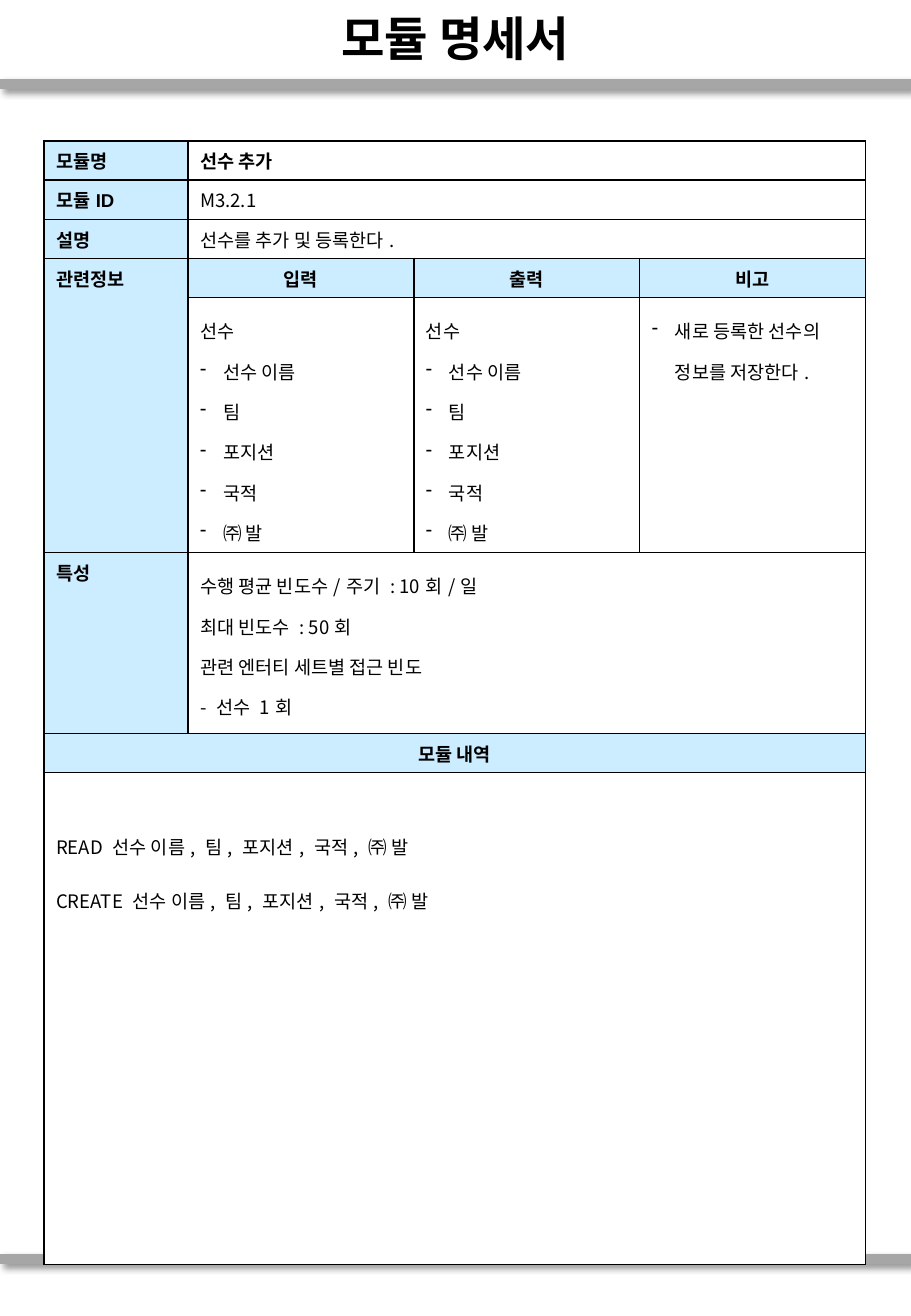
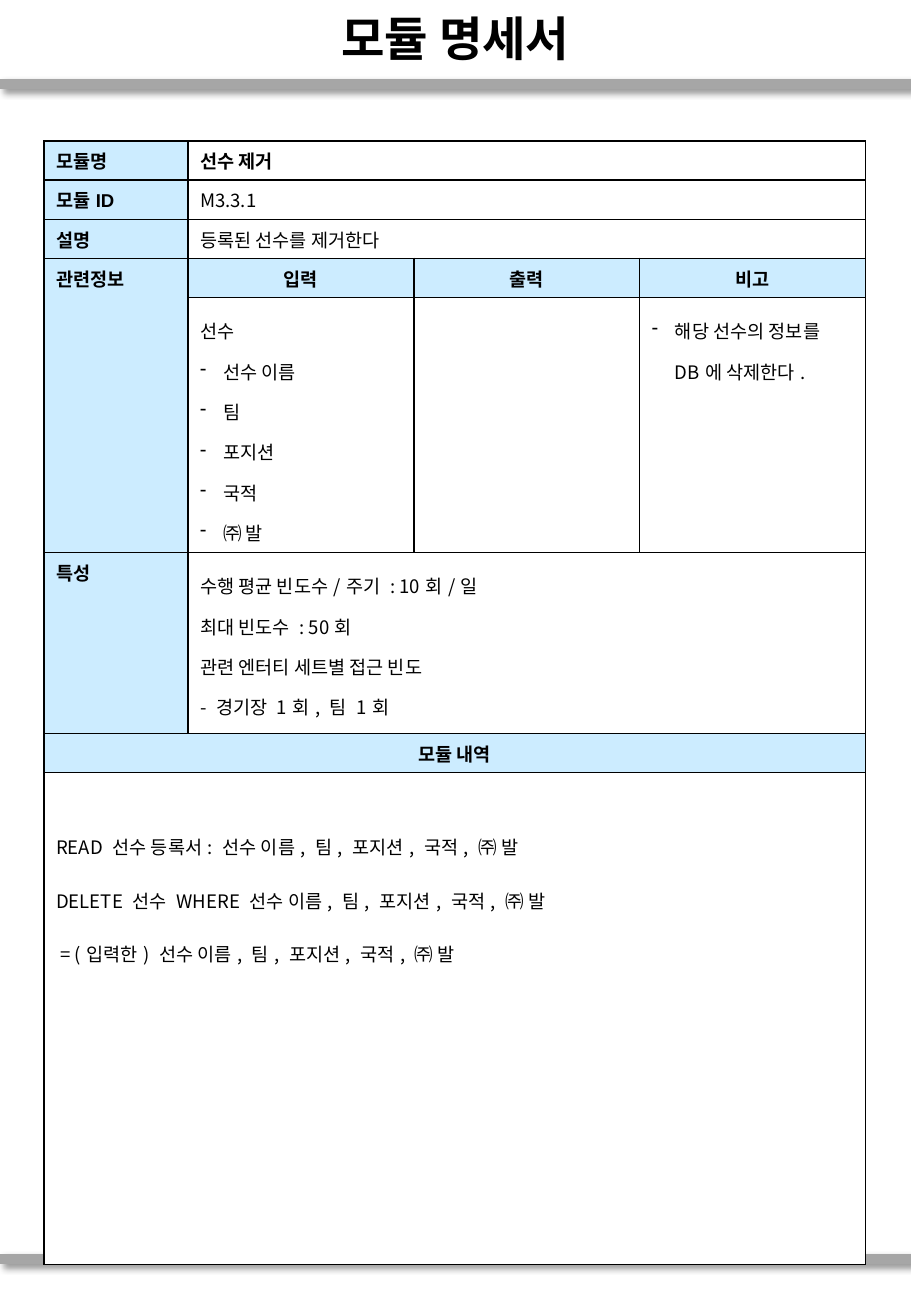
import dataclasses
import pptx
import pptx.dml.color
import pptx.enum.shapes
import pptx.enum.text
import pptx.oxml
import pptx.oxml.ns
import pptx.util

TITLE = "모듈 명세서"
FIELDS = ["선수 이름", "팀", "포지션", "국적", "㈜ 발"]
FIELD_LIST = ", ".join(FIELDS)
FREQUENCY = ["수행 평균 빈도수/주기 : 10회/일", "최대 빈도수 : 50회", "관련 엔터티 세트별 접근 빈도"]
MODULES = [
    {
        "name": "선수 추가",
        "id": "M3.2.1",
        "summary": "선수를 추가 및 등록한다.",
        "input": ["선수", *FIELDS],
        "output": ["선수", *FIELDS],
        "remark": "새로 등록한 선수의 정보를 저장한다.",
        "access": "- 선수 1회",
        "steps": [f"READ 선수 이름, {', '.join(FIELDS[1:])}", f"CREATE {FIELD_LIST}"],
    },
    {
        "name": "선수 제거",
        "id": "M3.3.1",
        "summary": "등록된 선수를 제거한다",
        "input": ["선수", *FIELDS],
        "output": [],
        "remark": "해당 선수의 정보를 DB에 삭제한다.",
        "access": "- 경기장 1회, 팀 1회",
        "steps": [
            f"READ 선수 등록서: {FIELD_LIST}",
            f"DELETE 선수 WHERE {FIELD_LIST}",
            f" = (입력한) {FIELD_LIST}",
        ],
    },
]


@dataclasses.dataclass(frozen=True)
class Theme:
    ink: str = "000000"
    label_fill: str = "CCECFF"
    value_fill: str = "FFFFFF"
    band: str = "A6A6A6"
    label_font: str = "Arial"
    body_font: str = "Noto Sans CJK KR"
    title_size: float = 28
    body_size: float = 11
    band_width: float = 6
    border_width: float = 1


THEME = Theme()
SCALE = 914400 / 121.5
BAND_TOPS = [84, 1259]
TITLE_BOX = (0, 1, 911, 73)
TABLE_LEFT, TABLE_TOP = 44, 141
LINE_ROW = 39
COLUMNS = [144, 226, 226, 226]
ROWS = [LINE_ROW] * 4 + [255, 181, LINE_ROW, 492]
BULLET_INDENT = 23
STEPS_MARGIN = 33
CENTER = pptx.enum.text.PP_ALIGN.CENTER


def px(length):
    return pptx.util.Emu(round(length * SCALE))


def color(value):
    return pptx.dml.color.RGBColor.from_string(value)


def xml(markup):
    return pptx.oxml.parse_xml(markup.replace(">", f" {pptx.oxml.ns.nsdecls('a')}>", 1))


def write(frame, lines, *, font=THEME.body_font, size=THEME.body_size, bold=False,
          align=None, spacing=None, bullets_from=None):
    for index, line in enumerate(lines):
        para = frame.paragraphs[0] if index == 0 else frame.add_paragraph()
        para.alignment = align
        para.line_spacing = spacing
        span = para.add_run()
        span.text = line
        span.font.name = font
        span.font.size = pptx.util.Pt(size)
        span.font.bold = bold
        span.font.color.rgb = color(THEME.ink)
        span.font._element.append(xml(f'<a:ea typeface="{THEME.body_font}"></a:ea>'))
        if bullets_from is not None and index >= bullets_from:
            properties = para._p.get_or_add_pPr()
            properties.set("marL", str(px(BULLET_INDENT)))
            properties.set("indent", str(-px(BULLET_INDENT)))
            properties.append(xml('<a:buChar char="-"></a:buChar>'))


def add_bands(slide, master, width):
    for top in BAND_TOPS:
        band = slide.shapes.add_connector(
            pptx.enum.shapes.MSO_CONNECTOR.STRAIGHT, 0, px(top), width, px(top))
        band.line.color.rgb = color(THEME.band)
        band.line.width = pptx.util.Pt(THEME.band_width)
        blur, distance = pptx.util.Pt(4), pptx.util.Pt(3)
        band._element.spPr.append(xml(
            f'<a:effectLst><a:outerShdw blurRad="{blur}" dist="{distance}" dir="2700000" '
            f'algn="tl" rotWithShape="0"><a:srgbClr val="{THEME.ink}">'
            '<a:alpha val="40000"/></a:srgbClr></a:outerShdw></a:effectLst>'))
        master.shapes.element.append(band._element)


def paint_cell(cell, fill):
    properties = cell._tc.get_or_add_tcPr()
    for side in "LRTB":
        properties.append(xml(
            f'<a:ln{side} w="{pptx.util.Pt(THEME.border_width)}"><a:solidFill>'
            f'<a:srgbClr val="{THEME.ink}"/></a:solidFill></a:ln{side}>'))
    cell.fill.solid()
    cell.fill.fore_color.rgb = color(fill)


def layout_cells(module):
    label = {"font": THEME.label_font, "bold": True}
    heading = {**label, "align": CENTER}
    listing = {"spacing": 1.5, "bullets_from": 1}
    return [
        (0, 0, 1, 1, ["모듈명"], label),
        (0, 1, 1, 3, [module["name"]], {"bold": True}),
        (1, 0, 1, 1, ["모듈ID"], label),
        (1, 1, 1, 3, [module["id"]], {}),
        (2, 0, 1, 1, ["설명"], label),
        (2, 1, 1, 3, [module["summary"]], {}),
        (3, 0, 2, 1, ["관련정보"], label),
        (3, 1, 1, 1, ["입력"], heading),
        (3, 2, 1, 1, ["출력"], heading),
        (3, 3, 1, 1, ["비고"], heading),
        (4, 1, 1, 1, module["input"], listing),
        (4, 2, 1, 1, module["output"], listing),
        (4, 3, 1, 1, [module["remark"]], {"spacing": 1.5, "bullets_from": 0}),
        (5, 0, 1, 1, ["특성"], label),
        (5, 1, 1, 3, [*FREQUENCY, module["access"]], {"spacing": 1.5}),
        (6, 0, 1, 4, ["모듈 내역"], heading),
        (7, 0, 1, 4, module["steps"], {"spacing": 2.0}),
    ]


def add_specification(slide, module):
    table = slide.shapes.add_table(
        len(ROWS), len(COLUMNS), px(TABLE_LEFT), px(TABLE_TOP),
        px(sum(COLUMNS)), px(sum(ROWS))).table
    table.first_row = table.horz_banding = False
    for column, width in zip(table.columns, COLUMNS):
        column.width = px(width)
    for row, height in zip(table.rows, ROWS):
        row.height = px(height)
    for top, left, tall, wide, lines, style in layout_cells(module):
        fill = THEME.label_fill if style.get("font") == THEME.label_font else THEME.value_fill
        for row in range(top, top + tall):
            for column in range(left, left + wide):
                paint_cell(table.cell(row, column), fill)
        cell = table.cell(top, left)
        if tall * wide > 1:
            cell.merge(table.cell(top + tall - 1, left + wide - 1))
        write(cell.text_frame, lines, **style)
    table.cell(len(ROWS) - 1, 0).margin_top = px(STEPS_MARGIN)


deck = pptx.Presentation()
deck.slide_width = pptx.util.Inches(7.5)
deck.slide_height = pptx.util.Inches(10.83)
layout = deck.slide_layouts.get_by_name("Title Only")
title_holder = layout.placeholders[0]
title_holder.left, title_holder.top, title_holder.width, title_holder.height = map(px, TITLE_BOX)
title_holder.text_frame.vertical_anchor = pptx.enum.text.MSO_ANCHOR.MIDDLE

for number, module in enumerate(MODULES):
    page = deck.slides.add_slide(layout)
    if number == 0:
        add_bands(page, deck.slide_master, deck.slide_width)
    write(page.shapes.title.text_frame, [TITLE], size=THEME.title_size, bold=True, align=CENTER)
    add_specification(page, module)

deck.save("out.pptx")
